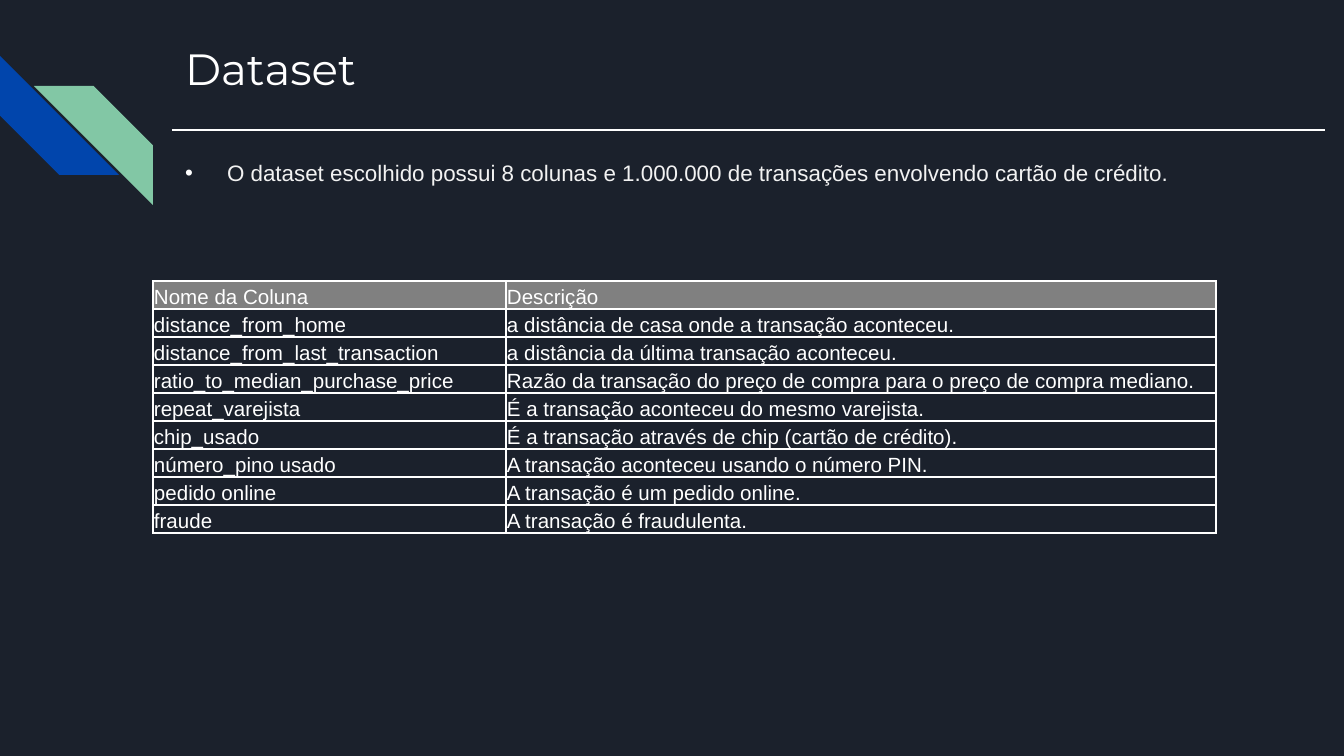
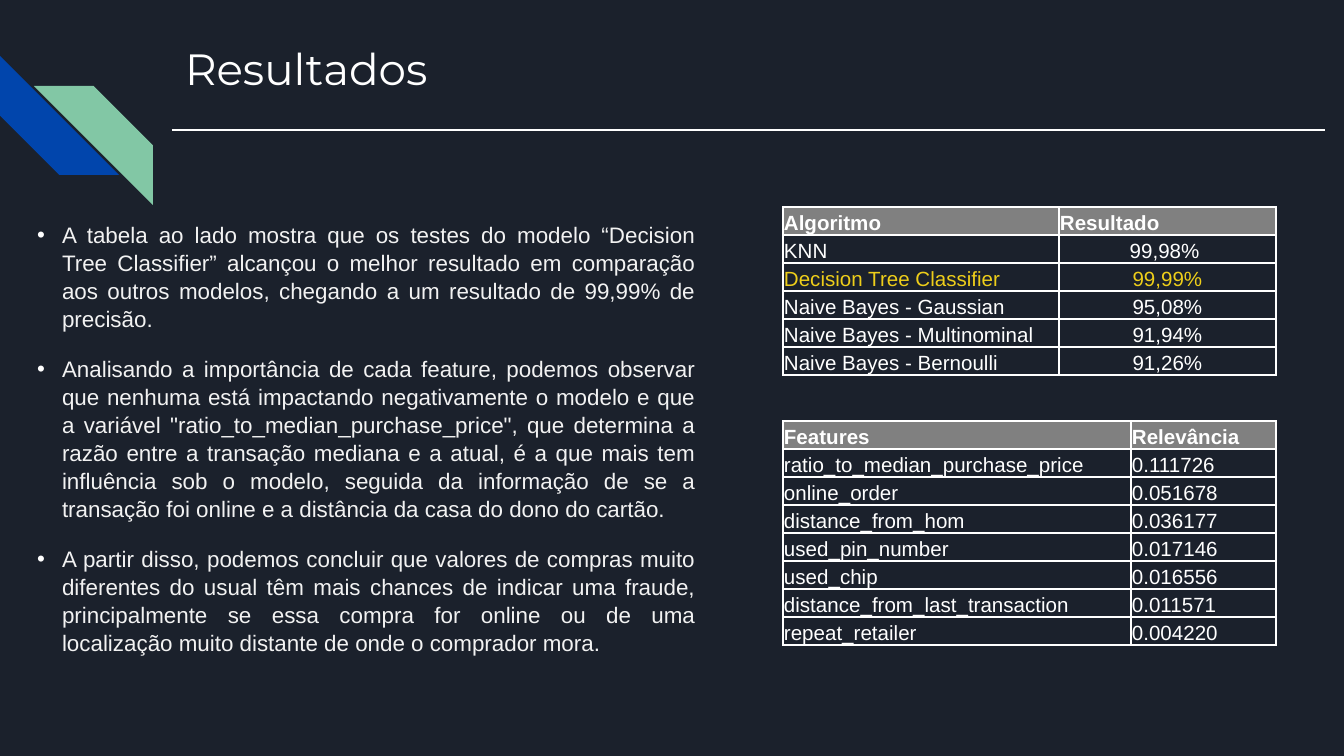
from lxml import etree
from pptx import Presentation
from pptx import util as u
from pptx.dml.color import RGBColor
from pptx.enum import shapes, text
from pptx.oxml import ns

PX = 914400 / 134.4
NAVY, BLUE, GREEN, GRAY = "1B212C", "0145AC", "82C7A5", "808080"
WHITE, PALE, YELLOW = "FFFFFF", "F2F2F2", "EECE1A"
LEFT, CENTER, JUSTIFY = (
    text.PP_ALIGN.LEFT, text.PP_ALIGN.CENTER, text.PP_ALIGN.JUSTIFY)

COLUMNS = [
    ("Nome da Coluna", "Descrição"),
    ("distance_from_home", "a distância de casa onde a transação aconteceu."),
    ("distance_from_last_transaction",
     "a distância da última transação aconteceu."),
    ("ratio_to_median_purchase_price",
     "Razão da transação do preço de compra para o preço de compra mediano."),
    ("repeat_varejista", "É a transação aconteceu do mesmo varejista."),
    ("chip_usado", "É a transação através de chip (cartão de crédito)."),
    ("número_pino usado", "A transação aconteceu usando o número PIN."),
    ("pedido online", "A transação é um pedido online."),
    ("fraude", "A transação é fraudulenta."),
]
SCORES = [
    ("Algoritmo", "Resultado"),
    ("KNN", "99,98% "),
    ("Decision Tree Classifier", "99,99%"),
    ("Naive Bayes - Gaussian", "95,08%"),
    ("Naive Bayes - Multinominal", "91,94%"),
    ("Naive Bayes - Bernoulli ", "91,26%"),
]
FEATURES = [
    ("Features", "Relevância"),
    ("ratio_to_median_purchase_price", "0.111726"),
    ("online_order", "0.051678"),
    ("distance_from_hom", "0.036177"),
    ("used_pin_number", "0.017146"),
    ("used_chip", "0.016556"),
    ("distance_from_last_transaction", "0.011571"),
    ("repeat_retailer", "0.004220"),
]
DATASET_POINTS = [
    "O dataset escolhido possui 8 colunas e 1.000.000 de transações "
    "envolvendo cartão de crédito.",
]
RESULT_POINTS = [
    "A tabela ao lado mostra que os testes do modelo “Decision Tree "
    "Classifier” alcançou o melhor resultado em comparação aos outros "
    "modelos, chegando a um resultado de 99,99% de precisão.",
    "Analisando a importância de cada feature, podemos observar que nenhuma "
    "está impactando negativamente o modelo e que a variável "
    '"ratio_to_median_purchase_price", que determina a razão entre a '
    "transação mediana e a atual, é a que mais tem influência sob o modelo, "
    "seguida da informação de se a transação foi online e a distância da "
    "casa do dono do cartão.",
    "A partir disso, podemos concluir que valores de compras muito "
    "diferentes do usual têm mais chances de indicar uma fraude, "
    "principalmente se essa compra for online ou de uma localização muito "
    "distante de onde o comprador mora.",
]


def px(length):
    return u.Emu(round(length * PX))


def color(value):
    return RGBColor.from_string(value)


def apply(target, **formats):
    for name, value in formats.items():
        setattr(target, name, value)


def write(para, content, ink, **formats):
    span = para.add_run()
    span.text = content
    apply(span.font, **formats)
    span.font.color.rgb = color(ink)


def place(box, left, top, width, height, anchor):
    """Move a text placeholder and set its frame."""
    apply(box, left=px(left), top=px(top), width=px(width), height=px(height))
    inset = px(13)
    apply(box.text_frame, word_wrap=True, auto_size=text.MSO_AUTO_SIZE.NONE,
          vertical_anchor=anchor, margin_left=inset, margin_right=inset,
          margin_top=inset, margin_bottom=inset)


def add_bullet(para, indent):
    props = para._p.get_or_add_pPr()
    props.set("marL", str(px(indent)))
    props.set("indent", str(-px(indent)))
    paint = etree.SubElement(props, ns.qn("a:buClr"))
    etree.SubElement(paint, ns.qn("a:srgbClr"), val=WHITE)
    etree.SubElement(props, ns.qn("a:buFont"), typeface="Arial")
    etree.SubElement(props, ns.qn("a:buChar"), char="•")


def add_points(page, points, bounds, indent, align):
    box = page.placeholders[1]
    place(box, *bounds, text.MSO_ANCHOR.TOP)
    frame = box.text_frame
    for index, point in enumerate(points):
        para = frame.add_paragraph() if index else frame.paragraphs[0]
        add_bullet(para, indent)
        apply(para, alignment=align, space_before=u.Pt(0),
              space_after=u.Pt(12), line_spacing=1.04)
        write(para, point, PALE, size=u.Pt(12), name="Arial")


def add_stripe(page, left, top, fill):
    stripe = page.shapes.add_shape(
        shapes.MSO_SHAPE.DIAGONAL_STRIPE, px(left), px(top), px(119), px(119))
    stripe.adjustments[0] = 0.5
    stripe.shadow.inherit = False
    stripe.fill.solid()
    stripe.fill.fore_color.rgb = color(fill)
    stripe.line.fill.background()
    return stripe


def add_rule(page):
    rule = page.shapes.add_connector(
        shapes.MSO_CONNECTOR.STRAIGHT, px(172), px(130), px(1325), px(130))
    rule.line.color.rgb = color(WHITE)
    rule.line.width = u.Pt(1.5)
    etree.SubElement(rule._element.spPr, ns.qn("a:effectLst"))


def add_page(deck, title):
    """Add a slide with the shared stripes, title and rule."""
    page = deck.slides.add_slide(deck.slide_layouts[1])
    add_stripe(page, 0, 56, BLUE).rotation = 270
    green = add_stripe(page, 34, 86, GREEN)
    green._element.spPr.xfrm.set("flipH", "1")
    place(page.shapes.title, 172, 32, 675, 78, text.MSO_ANCHOR.MIDDLE)
    para = page.shapes.title.text_frame.paragraphs[0]
    apply(para, alignment=LEFT, line_spacing=0.9)
    write(para, title, WHITE, size=u.Pt(23.4), name="Montserrat")
    add_rule(page)
    return page


def add_borders(cell):
    props = cell._tc.get_or_add_tcPr()
    for index, side in enumerate(("lnL", "lnR", "lnT", "lnB")):
        line = etree.Element(ns.qn(f"a:{side}"), w=str(u.Pt(1)))
        fill = etree.SubElement(line, ns.qn("a:solidFill"))
        etree.SubElement(fill, ns.qn("a:srgbClr"), val=WHITE)
        props.insert(index, line)


def add_grid(page, rows, left, top, widths, bold_head=False,
             value_align=LEFT, highlight=None):
    """Add a bordered table; highlight is the index of a yellow row."""
    row_height = 28
    grid = page.shapes.add_table(
        len(rows), len(widths), px(left), px(top),
        px(sum(widths)), px(row_height * len(rows))).table
    apply(grid, first_row=False, horz_banding=False)
    for column, width in zip(grid.columns, widths):
        column.width = px(width)
    for r, values in enumerate(rows):
        grid.rows[r].height = px(row_height)
        for c, value in enumerate(values):
            cell = grid.cell(r, c)
            apply(cell, margin_left=px(1), margin_right=px(1),
                  margin_top=px(1), margin_bottom=0,
                  vertical_anchor=text.MSO_ANCHOR.BOTTOM)
            if r == 0:
                cell.fill.solid()
                cell.fill.fore_color.rgb = color(GRAY)
            else:
                cell.fill.background()
            add_borders(cell)
            para = cell.text_frame.paragraphs[0]
            para.alignment = value_align if r and c else LEFT
            write(para, value, YELLOW if r == highlight else WHITE,
                  size=u.Pt(11), name="Arial", bold=bold_head and r == 0)


def main():
    deck = Presentation()
    apply(deck, slide_width=px(1344), slide_height=px(756))
    backdrop = deck.slide_master.background.fill
    backdrop.solid()
    backdrop.fore_color.rgb = color(NAVY)

    dataset = add_page(deck, "Dataset")
    add_points(dataset, DATASET_POINTS, (172, 145, 1102, 78), 42, LEFT)
    add_grid(dataset, COLUMNS, 153, 281, (353, 710))

    results = add_page(deck, "Resultados")
    add_points(results, RESULT_POINTS, (24, 207, 685, 517), 25, JUSTIFY)
    add_grid(results, SCORES, 783, 207, (276, 217), bold_head=True,
             value_align=CENTER, highlight=2)
    add_grid(results, FEATURES, 783, 421, (348, 145), bold_head=True)

    deck.save("out.pptx")


if __name__ == "__main__":
    main()
